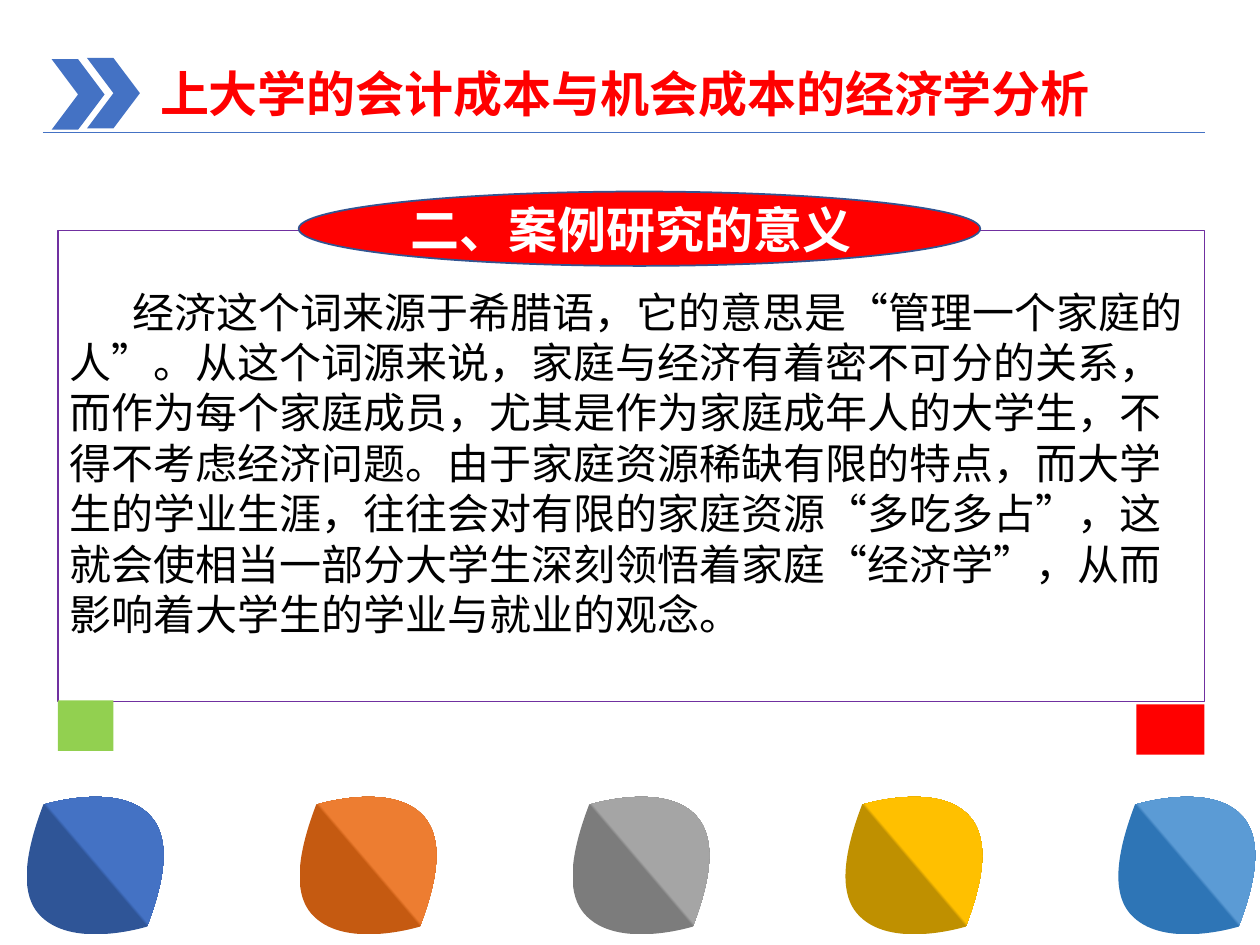
import pptx
import pptx.dml.color
import pptx.enum.shapes
import pptx.enum.text
import pptx.oxml
import pptx.oxml.ns
import pptx.util

WIDTH, HEIGHT = 10, 7.5
COLORS = {"red": "FF0000", "blue": "4472C4", "navy": "325491", "purple": "7030A0",
          "green": "92D050", "white": "FFFFFF", "black": "000000"}
LEAF_COLORS = [("2F5597", "4472C4"), ("C55A11", "ED7D31"), ("7C7C7C", "A5A5A5"),
               ("BF9000", "FFC000"), ("2E75B6", "5B9BD5")]
LEAF_PITCH = 0.2166 * WIDTH
LEAF_LEFT, LEAF_TOP = 0.12, 6.28
LEAF_TURN = 229.6
# Upright leaf: a start point, then three points for each Bezier curve
LEAF_POINTS = [(0.64, 0),
               (0.25, 0), (0, 0.59), (0, 0.59),
               (0.24, 1.03), (0.45, 1.18), (0.64, 1.18),
               (1.02, 1.18), (1.27, 0.59), (1.27, 0.59),
               (1.03, 0.15), (0.82, 0), (0.64, 0)]
TITLE = "上大学的会计成本与机会成本的经济学分析"
HEADING = "二、案例研究的意义"
BODY = ("\t经济这个词来源于希腊语，它的意思是“管理一个家庭的人”。从这个词源来说，"
        "家庭与经济有着密不可分的关系，而作为每个家庭成员，尤其是作为家庭成年人的大学生，"
        "不得不考虑经济问题。由于家庭资源稀缺有限的特点，而大学生的学业生涯，"
        "往往会对有限的家庭资源“多吃多占”，这就会使相当一部分大学生深刻领悟着家庭“经济学”，"
        "从而影响着大学生的学业与就业的观念。")
SHAPES = pptx.enum.shapes.MSO_SHAPE
ANCHOR = pptx.enum.text.MSO_ANCHOR
ALIGN = pptx.enum.text.PP_ALIGN
inches = pptx.util.Inches
qn = pptx.oxml.ns.qn


def rgb(value):
    return pptx.dml.color.RGBColor.from_string(COLORS.get(value, value))


def apply(target, formats):
    for name, value in formats.items():
        setattr(target, name, value)


def place(shape, left, top, width, height):
    apply(shape, {"left": inches(left), "top": inches(top),
                  "width": inches(width), "height": inches(height)})


def write(shape, text, size, color, bold, frame_formats, para_formats):
    """Fill a shape with one formatted paragraph."""
    frame = shape.text_frame
    apply(frame, {"auto_size": pptx.enum.text.MSO_AUTO_SIZE.NONE, **frame_formats})
    para = frame.paragraphs[0]
    apply(para, {"space_before": pptx.util.Pt(0), **para_formats})
    span = para.add_run()
    span.text = text
    apply(span.font, {"name": "Calibri", "size": pptx.util.Pt(size), "bold": bold})
    span.font.color.rgb = rgb(color)


def add_block(page, kind, box, fill, outline=None):
    shape = page.shapes.add_shape(kind, *map(inches, box))
    shape.shadow.inherit = False
    shape.fill.solid()
    shape.fill.fore_color.rgb = rgb(fill)
    if outline:
        shape.line.color.rgb = rgb(outline)
        shape.line.width = pptx.util.Pt(1)
    else:
        shape.line.fill.background()
    return shape


def add_rule(page, left, right, top):
    rule = page.shapes.add_connector(pptx.enum.shapes.MSO_CONNECTOR.STRAIGHT,
                                     *map(inches, (left, top, right, top)))
    rule.line.color.rgb = rgb("blue")
    rule.line.width = pptx.util.Pt(0.5)
    properties = rule._element.spPr
    properties.append(properties.makeelement(qn("a:effectLst"), {}))


def bend(shape):
    """Turn every three straight segments of an outline into one Bezier curve."""
    segments = list(shape._element.iter(qn("a:lnTo")))
    for first, second, third in zip(*[iter(segments)] * 3):
        curve = first.makeelement(qn("a:cubicBezTo"), {})
        first.addprevious(curve)
        for segment in (first, second, third):
            curve.append(segment[0])
            segment.getparent().remove(segment)


def add_leaf(page, left, colors):
    points = [(inches(left + x), inches(LEAF_TOP + y)) for x, y in LEAF_POINTS]
    builder = page.shapes.build_freeform(*points[0])
    builder.add_line_segments(points[1:], close=True)
    leaf = builder.convert_to_shape()
    bend(leaf)
    leaf.rotation = LEAF_TURN
    leaf.shadow.inherit = False
    leaf.line.fill.background()
    leaf.fill.gradient()
    leaf.fill.gradient_angle = 270
    for stop, color, position in zip(leaf.fill.gradient_stops, colors, (0.50, 0.51)):
        stop.color.rgb = rgb(color)
        stop.position = position


def add_title(page):
    title = page.shapes.title
    place(title, 1.11, 0.46, 7.7, 0.63)
    margins = {f"margin_{side}": inches(0.1) for side in ("left", "top", "right", "bottom")}
    write(title, TITLE, 28, "red", True,
          {"word_wrap": False, "vertical_anchor": ANCHOR.TOP, **margins},
          {"alignment": ALIGN.CENTER, "line_spacing": 0.9})


def add_body(page):
    body = page.placeholders[1]
    place(body, 0.46, 1.83, 9.1, 3.74)
    body.line.color.rgb = rgb("purple")
    body.line.width = pptx.util.Pt(0.75)
    # No bullet; the first line starts at a tab stop
    properties = body.text_frame.paragraphs[0]._p.get_or_add_pPr()
    properties.set("marL", "0")
    properties.set("indent", "0")
    namespace = pptx.oxml.ns.nsdecls("a")
    for markup in (f"<a:buNone {namespace}/>",
                   f'<a:tabLst {namespace}><a:tab pos="{inches(0.5)}" algn="l"/></a:tabLst>'):
        properties.append(pptx.oxml.parse_xml(markup))
    write(body, BODY, 24, "black", False,
          {"word_wrap": True, "vertical_anchor": ANCHOR.TOP,
           "margin_left": inches(0.09), "margin_top": inches(0.44)},
          {"alignment": ALIGN.LEFT, "line_spacing": 1.0})


def main():
    deck = pptx.Presentation()
    deck.slide_width, deck.slide_height = inches(WIDTH), inches(HEIGHT)
    page = deck.slides.add_slide(deck.slide_layouts[1])

    # Title and framed text
    add_title(page)
    add_body(page)

    # Row of leaves
    for column, colors in enumerate(LEAF_COLORS):
        add_leaf(page, LEAF_LEFT + column * LEAF_PITCH, colors)

    # Section heading on the frame's top edge
    heading = add_block(page, SHAPES.OVAL, (2.37, 1.52, 5.41, 0.59), "red", "navy")
    write(heading, HEADING, 28, "white", True,
          {"word_wrap": True, "vertical_anchor": ANCHOR.MIDDLE, "margin_right": inches(0.23)},
          {"alignment": ALIGN.CENTER})

    # Corner blocks under the frame
    add_block(page, SHAPES.RECTANGLE, (9.02, 5.59, 0.54, 0.4), "red")
    add_block(page, SHAPES.RECTANGLE, (0.46, 5.56, 0.44, 0.4), "green")

    # Chevrons and rule beside the title
    for left, top in ((0.41, 0.47), (0.69, 0.46)):
        add_block(page, SHAPES.CHEVRON, (left, top, 0.42, 0.56), "blue")
    add_rule(page, 0.34, 9.56, 1.05)

    deck.save("out.pptx")


if __name__ == "__main__":
    main()
